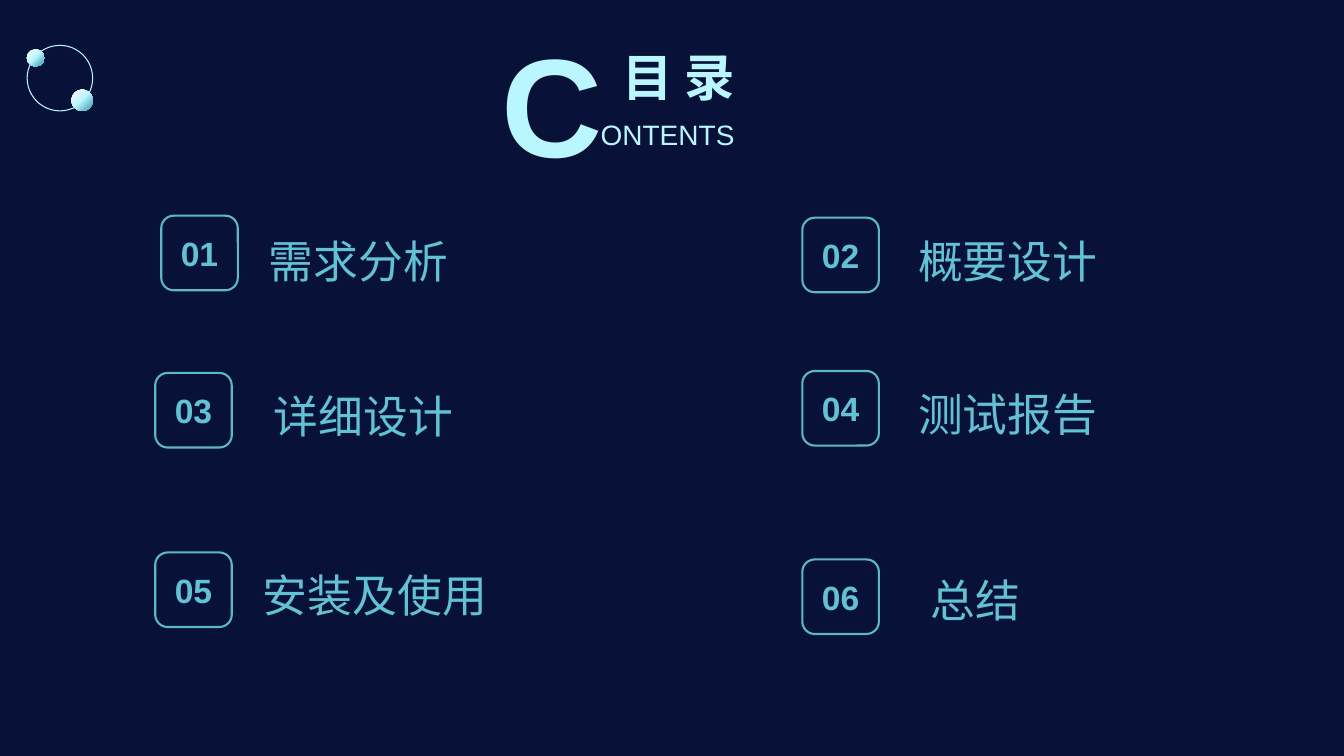
from lxml import etree
from pptx import Presentation
from pptx.dml.color import RGBColor
from pptx.enum.shapes import MSO_SHAPE as Shape
from pptx.enum.text import MSO_ANCHOR as Anchor, PP_ALIGN as Align
from pptx.oxml.ns import qn
from pptx.util import Pt

NAVY, ICE, TEAL, AQUA = "081239", "BAF6FE", "5DB7CA", "62C2D3"
SHINE = [(1, "FFFFFF"), (50, ICE), (84, TEAL)]
BOX_W, BOX_H = 54.7, 53.3

# Number, title, box left and top, label left and top
ITEMS = [
    ("01", "需求分析", 115.2, 154.1, 185, 152.6),
    ("02", "概要设计", 573.1, 155.5, 648.7, 152.6),
    ("03", "详细设计", 110.9, 266.4, 188.6, 263.5),
    ("04", "测试报告", 573.1, 265, 648.7, 262.1),
    ("05", "安装及使用", 110.9, 394.6, 180.7, 391),
    ("06", "总结", 573.1, 399.6, 657.4, 394.6),
]


def color(code):
    return RGBColor.from_string(code)


def write(shape, text, size, code, bold=False, align=Align.LEFT, anchor=Anchor.BOTTOM):
    frame = shape.text_frame
    frame.text = text
    frame.word_wrap = True
    frame.vertical_anchor = anchor
    para = frame.paragraphs[0]
    para.alignment = align
    font = para.runs[0].font
    font.name, font.size, font.bold = "Arial", Pt(size), bold
    font.color.rgb = color(code)


def add_text(slide, area, *args, **style):
    box = slide.shapes.add_textbox(*map(Pt, area))
    write(box, *args, **style)
    return box


def outline(shapes, kind, area, code, width):
    shape = shapes.add_shape(kind, *map(Pt, area))
    shape.shadow.inherit = False
    shape.fill.background()
    shape.line.color.rgb = color(code)
    shape.line.width = Pt(width)
    return shape


def add_ball(shapes, left, top, size):
    ball = shapes.add_shape(Shape.OVAL, Pt(left), Pt(top), Pt(size), Pt(size))
    ball.shadow.inherit = False
    ball.line.fill.background()
    ball.fill.gradient()
    # Three stops, running down to the right
    grad = ball.fill._xPr.find(qn("a:gradFill"))
    for part in list(grad):
        grad.remove(part)
    stops = etree.SubElement(grad, qn("a:gsLst"))
    for pos, code in SHINE:
        stop = etree.SubElement(stops, qn("a:gs"), pos=str(pos * 1000))
        etree.SubElement(stop, qn("a:srgbClr"), val=code)
    etree.SubElement(grad, qn("a:lin"), ang=str(45 * 60000), scaled="0")


def add_orbit(slide):
    shapes = slide.shapes.add_group_shape().shapes
    outline(shapes, Shape.OVAL, (19.4, 32.4, 46.8, 46.8), ICE, 0.75)
    add_ball(shapes, 19.2, 35.2, 12.4)
    add_ball(shapes, 51.1, 64.1, 15.2)


def add_head(slide):
    add_text(slide, (421.9, 24.5, 126, 55.4), "目 录", 36, ICE,
             bold=True, align=Align.CENTER)
    big = add_text(slide, (283.7, -2.2, 146.9, 149), "C", 100, ICE,
                   bold=True, align=Align.RIGHT, anchor=Anchor.MIDDLE)
    frame = big.text_frame
    frame.margin_left = frame.margin_right = 0
    frame.margin_top = frame.margin_bottom = 0
    add_text(slide, (421.9, 80.6, 126, 31.7), "ONTENTS", 20, ICE,
             align=Align.JUSTIFY, anchor=Anchor.TOP)


def add_item(slide, num, title, left, top, text_left, text_top):
    box = outline(slide.shapes, Shape.ROUNDED_RECTANGLE,
                  (left, top, BOX_W, BOX_H), TEAL, 1.5)
    write(box, num, 24, AQUA, bold=True, align=Align.CENTER, anchor=Anchor.MIDDLE)
    add_text(slide, (text_left, text_top, 250, 56.2), title, 32, AQUA)


def main():
    deck = Presentation()
    deck.slide_width, deck.slide_height = Pt(960), Pt(540)
    slide = deck.slides.add_slide(deck.slide_layouts[6])
    back = slide.background.fill
    back.solid()
    back.fore_color.rgb = color(NAVY)

    add_orbit(slide)
    add_head(slide)
    for item in ITEMS:
        add_item(slide, *item)
    deck.save("out.pptx")


if __name__ == "__main__":
    main()
